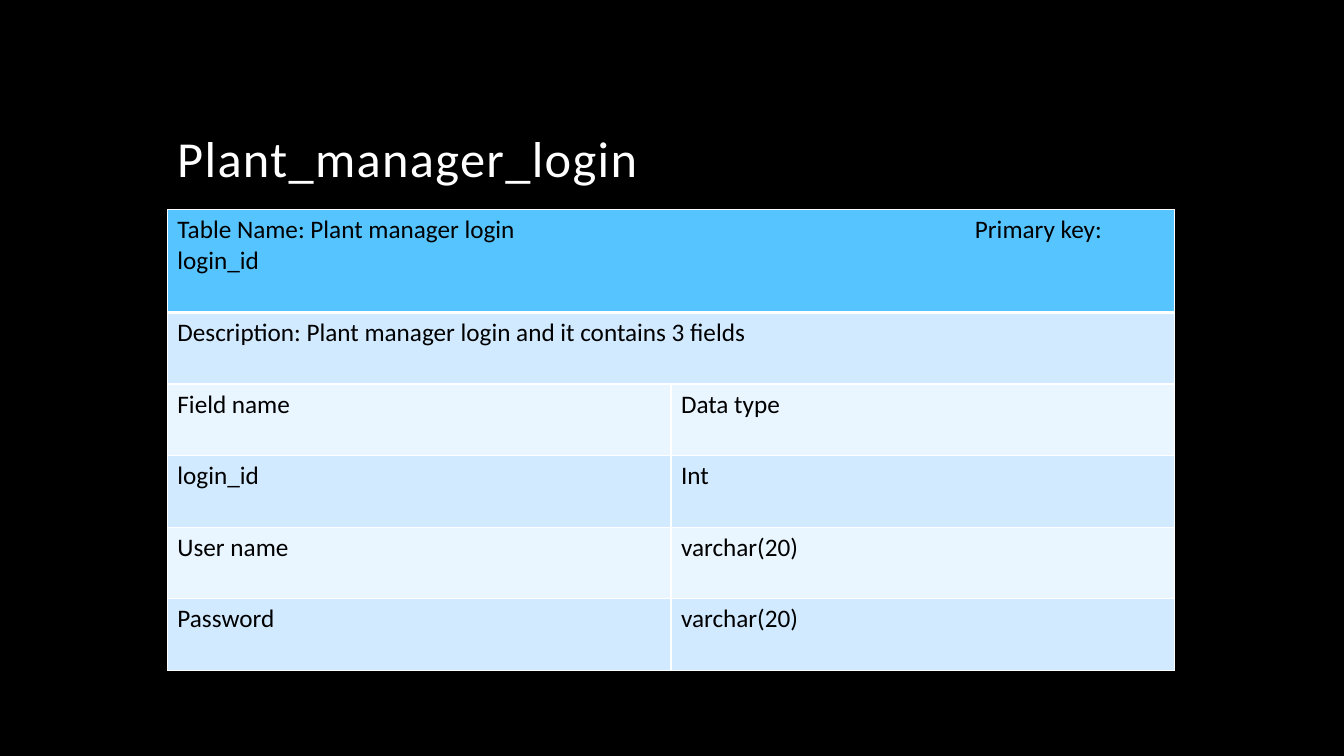
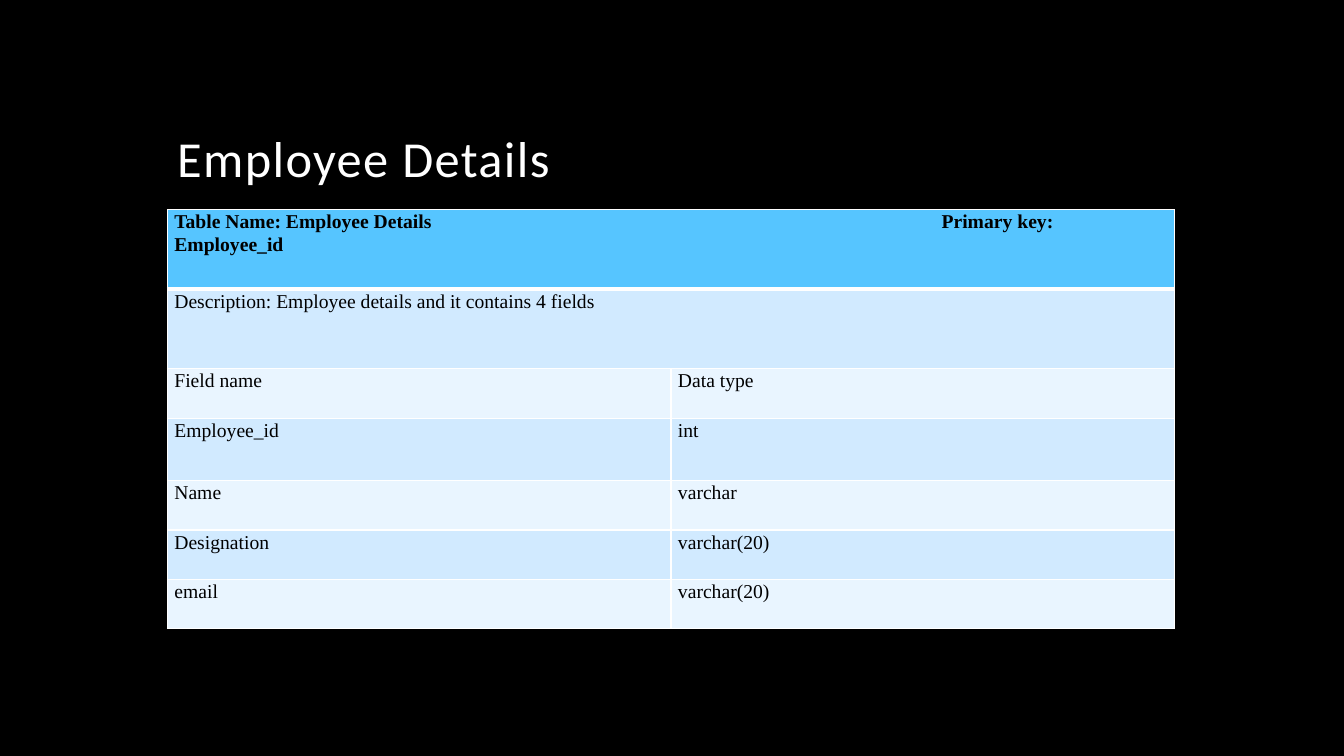
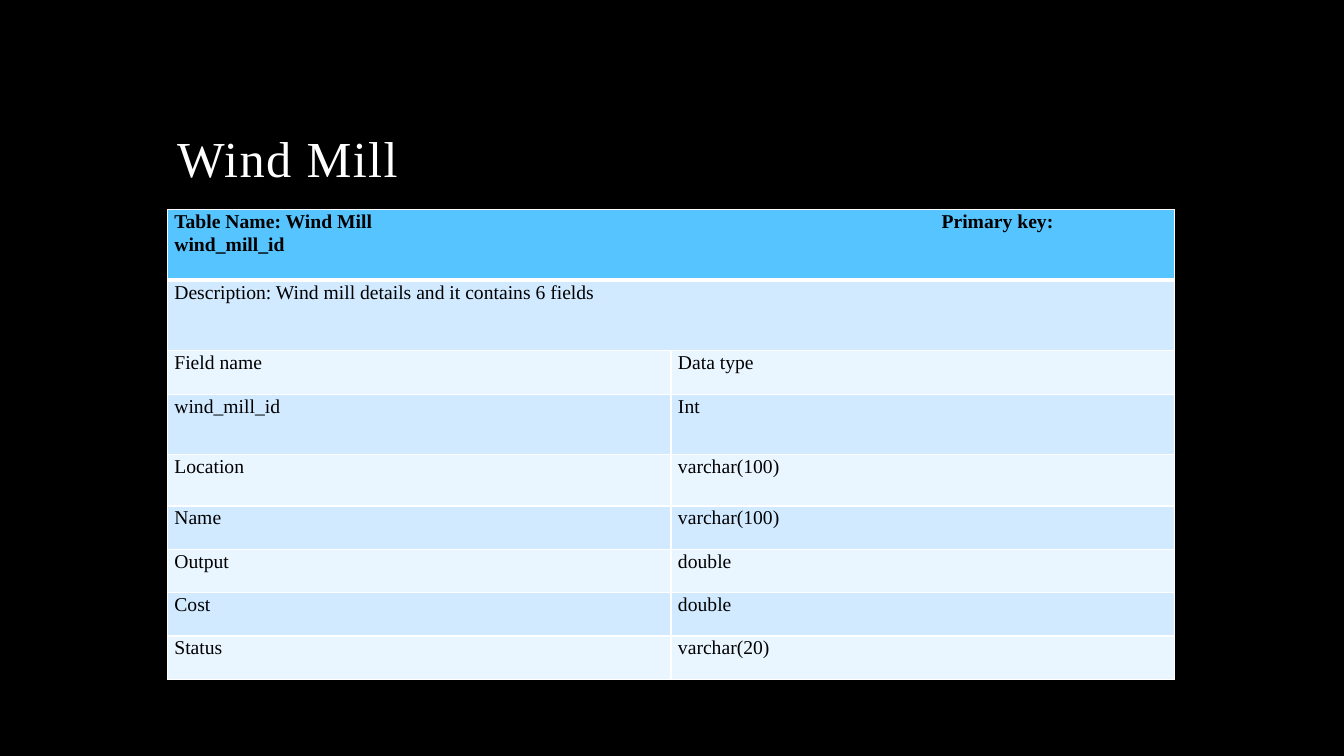
"""Build three slides that describe the tables of a wind farm database."""
from lxml import etree
from pptx import Presentation
from pptx.dml.color import RGBColor
from pptx.enum.text import MSO_ANCHOR
from pptx.oxml.ns import qn
from pptx.util import Inches, Pt

BOTTOM = MSO_ANCHOR.BOTTOM
BLACK = RGBColor(0x00, 0x00, 0x00)
WHITE = RGBColor(0xFF, 0xFF, 0xFF)
HEADER_BLUE = RGBColor(0x56, 0xC5, 0xFF)
BAND_BLUE = RGBColor(0xD1, 0xEA, 0xFF)
PALE_BLUE = RGBColor(0xE9, 0xF5, 0xFF)
SANS = "Calibri"
SERIF = "Times New Roman"

LEFT = 1.66
TITLE_TOP = 0.42
TABLE_TOP = 2.08
TABLE_WIDTH = 9.99
HEADER_RIGHT_MARGIN = 0.3

ROOMY = {"font": SANS, "size": 18, "bold": False, "margins": (0.1, 0.05),
         "line_spacing": 1, "space_after": 0, "key_tab": 7.91}
COMPACT = {"font": SERIF, "size": 14, "bold": True, "margins": (0.07, 0),
           "line_spacing": 1.07, "space_after": 8, "key_tab": 7.61}

SCHEMAS = [
    ("Plant_manager_login", SANS, ROOMY,
     "Table Name: Plant manager login\tPrimary key: login_id",
     "Description: Plant manager login and it contains 3 fields",
     [("login_id", "Int"), ("User name", "varchar(20)"), ("Password", "varchar(20)")],
     [1.02] + [0.71] * 5),
    ("Employee Details", SANS, COMPACT,
     "Table Name: Employee Details\tPrimary key: Employee_id",
     "Description: Employee details and it contains 4 fields",
     [("Employee_id", "int"), ("Name", "varchar"), ("Designation", "varchar(20)"),
      ("email", "varchar(20)")],
     [0.79, 0.79, 0.49, 0.62] + [0.49] * 3),
    ("Wind Mill", SERIF, COMPACT,
     "Table Name: Wind Mill\tPrimary key: wind_mill_id",
     "Description: Wind mill details and it contains 6 fields",
     [("wind_mill_id", "Int"), ("Location", "varchar(100)"), ("Name", "varchar(100)"),
      ("Output", "double"), ("Cost", "double"), ("Status", "varchar(20)")],
     [0.7, 0.7, 0.43, 0.6, 0.51] + [0.43] * 4),
]


def format_run(run, font, size, color, bold=False):
    run.font.name = font
    run.font.size = Pt(size)
    run.font.bold = bold
    run.font.color.rgb = color


def add_borders(cell, row_index):
    properties = cell._tc.get_or_add_tcPr()
    for side in "LRTB":
        heavy = (row_index, side) in ((0, "B"), (1, "T"))
        line = etree.SubElement(properties, qn(f"a:ln{side}"), w=str(Pt(3 if heavy else 1)))
        fill = etree.SubElement(line, qn("a:solidFill"))
        etree.SubElement(fill, qn("a:srgbClr"), val=str(WHITE))


prs = Presentation()
prs.slide_width = Inches(13.33)
prs.slide_height = Inches(7.5)
background = prs.slide_master.background.fill
background.solid()
background.fore_color.rgb = BLACK

for title, title_font, style, header, description, fields, heights in SCHEMAS:
    slide = prs.slides.add_slide(prs.slide_layouts[6])

    heading = slide.shapes.add_textbox(
        Inches(LEFT), Inches(TITLE_TOP), Inches(10), Inches(1.5)).text_frame
    heading.word_wrap = True
    heading.vertical_anchor = BOTTOM
    heading.text = title
    heading.paragraphs[0].line_spacing = 0.9
    title_run = heading.paragraphs[0].runs[0]
    format_run(title_run, title_font, 36, WHITE)
    title_run._r.get_or_add_rPr().set("spc", "100")

    rows = [(header, ""), (description, ""), ("Field name", "Data type")] + fields
    schema = slide.shapes.add_table(
        len(rows), 2, Inches(LEFT), Inches(TABLE_TOP),
        Inches(TABLE_WIDTH), Inches(sum(heights))).table
    schema.first_row = False
    schema.horz_banding = False
    for column in schema.columns:
        column.width = Inches(TABLE_WIDTH / 2)

    for row_index, (texts, height) in enumerate(zip(rows, heights)):
        schema.rows[row_index].height = Inches(height)
        if row_index == 0:
            color = HEADER_BLUE
        else:
            color = BAND_BLUE if row_index % 2 else PALE_BLUE
        for column_index, text in enumerate(texts):
            cell = schema.cell(row_index, column_index)
            add_borders(cell, row_index)
            cell.fill.solid()
            cell.fill.fore_color.rgb = color
            side_margin, end_margin = style["margins"]
            cell.margin_left = cell.margin_right = Inches(side_margin)
            cell.margin_top = cell.margin_bottom = Inches(end_margin)
            cell.text_frame.text = text
            paragraph = cell.text_frame.paragraphs[0]
            paragraph.line_spacing = style["line_spacing"]
            paragraph.space_after = Pt(style["space_after"])
            for run in paragraph.runs:
                format_run(run, style["font"], style["size"], BLACK,
                           style["bold"] and row_index == 0)
        if row_index < 2:
            schema.cell(row_index, 0).merge(schema.cell(row_index, 1))

    header_cell = schema.cell(0, 0)
    header_cell.margin_right = Inches(HEADER_RIGHT_MARGIN)
    header_properties = header_cell.text_frame.paragraphs[0]._p.get_or_add_pPr()
    tabs = etree.SubElement(header_properties, qn("a:tabLst"))
    etree.SubElement(tabs, qn("a:tab"), pos=str(Inches(style["key_tab"])), algn="l")

prs.save("out.pptx")
